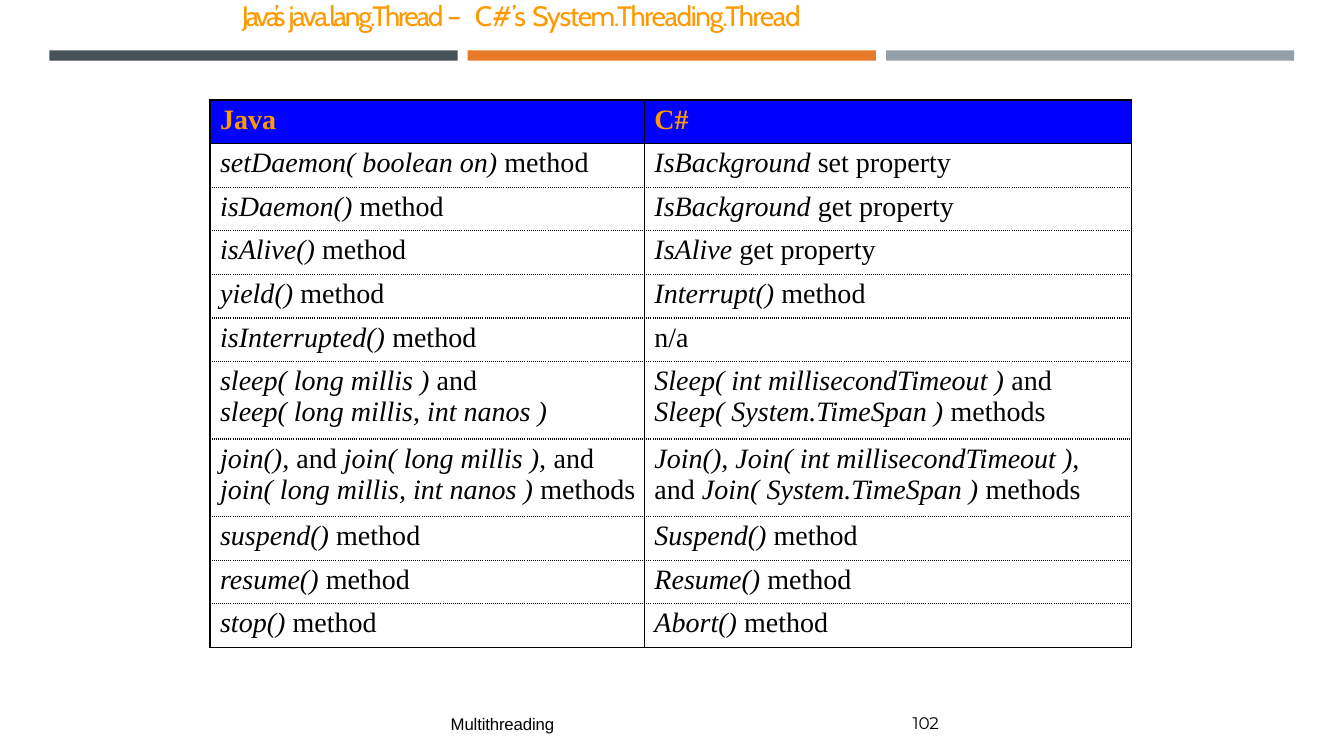
from dataclasses import dataclass
from lxml import etree
from pptx import Presentation
from pptx.dml.color import RGBColor
from pptx.enum.shapes import MSO_SHAPE
from pptx.oxml.ns import qn
from pptx.util import Pt

RECT = MSO_SHAPE.RECTANGLE


@dataclass(frozen=True)
class Theme:
    gold: str = "FF9900"
    blue: str = "0000FF"
    ink: str = "000000"
    bands: tuple = ("465257", "E77929", "949FA7")
    head: int = 20
    body: int = 20
    foot: int = 12
    title: str = "Cabin"
    serif: str = "Times New Roman"
    sans: str = "Arial"
    page: str = "Montserrat"


THEME = Theme()

TITLE = [
    ("Java’s ", -2.2),
    ("java.lang.Thread ", -1.6),
    ("– ", 2.5),
    ("C#’s ", 0),
    ("System.Threading.Thread", -1),
]

ROWS = [
    ("Java", "C#"),
    ("*setDaemon( boolean on) *method", "*IsBackground *set property"),
    ("*isDaemon() *method", "*IsBackground *get property"),
    ("*isAlive() *method", "*IsAlive *get property"),
    ("*yield() *method", "*Interrupt() *method"),
    ("*isInterrupted() *method", "n/a"),
    ("*sleep( long millis ) *and\n*sleep( long millis, int nanos )*",
     "*Sleep( int millisecondTimeout ) *and\n*Sleep( System.TimeSpan ) *methods"),
    ("*join(), *and *join( long millis ), *and\n*join( long millis, int nanos ) *methods",
     "*Join(), Join( int millisecondTimeout ),*\nand *Join( System.TimeSpan ) *methods"),
    ("*suspend() *method", "*Suspend() *method"),
    ("*resume() *method", "*Resume() *method"),
    ("*stop() *method", "*Abort() *method"),
]


def write(para, text, size=THEME.body, face=THEME.serif, color=THEME.ink,
          bold=False, space=0):
    for i, part in enumerate(text.split("*")):
        if not part:
            continue
        run = para.add_run()
        run.text = part
        font = run.font
        font.size, font.name = Pt(size), face
        font.bold, font.italic = bold, i % 2 == 1
        font.color.rgb = RGBColor.from_string(color)
        if space:
            run._r.get_or_add_rPr().set("spc", str(round(space * 100)))


def add_band(slide, left, color):
    band = slide.shapes.add_shape(RECT, Pt(left), Pt(36), Pt(291.6), Pt(7.4))
    band.shadow.inherit = False
    band.fill.solid()
    band.fill.fore_color.rgb = RGBColor.from_string(color)
    band.line.fill.background()


def add_box(slide, left, top, width, height, inset=0, before=0):
    frame = slide.shapes.add_textbox(
        Pt(left), Pt(top), Pt(width), Pt(height)).text_frame
    frame.word_wrap = True
    frame.margin_left = frame.margin_right = frame.margin_bottom = 0
    frame.margin_top = Pt(inset)
    para = frame.paragraphs[0]
    para.space_before = Pt(before)
    return para


def add_edge(cell, side, dash):
    props = cell._tc.get_or_add_tcPr()
    line = etree.SubElement(props, qn(f"a:ln{side}"), w=str(Pt(1)))
    fill = etree.SubElement(line, qn("a:solidFill"))
    etree.SubElement(fill, qn("a:srgbClr"), val=THEME.ink)
    etree.SubElement(line, qn("a:prstDash"), val=dash)


def fill_cell(cell, text, row):
    cell.margin_left, cell.margin_top = Pt(7.2), Pt(2.9)
    cell.margin_right = cell.margin_bottom = 0
    top = "sysDot" if row > 1 else "solid"
    base = "sysDot" if 0 < row < len(ROWS) - 1 else "solid"
    for side, dash in zip("LRTB", ("solid", "solid", top, base)):
        add_edge(cell, side, dash)
    if row == 0:
        cell.fill.solid()
        cell.fill.fore_color.rgb = RGBColor.from_string(THEME.blue)
    else:
        cell.fill.background()
    frame = cell.text_frame
    for i, line in enumerate(text.split("\n")):
        para = frame.add_paragraph() if i else frame.paragraphs[0]
        para.space_before = Pt(0 if i else 3)
        write(para, line, bold=row == 0,
              color=THEME.ink if row else THEME.gold)


def add_grid(slide):
    table = slide.shapes.add_table(
        len(ROWS), 2, Pt(150), Pt(71.5), Pt(658.1), Pt(391)).table
    table.first_row = table.horz_banding = False
    for col, width in zip(table.columns, (310.3, 347.8)):
        col.width = Pt(width)
    for r, texts in enumerate(ROWS):
        table.rows[r].height = Pt(55.4 if "\n" in texts[0] else 31.15)
        for c, text in enumerate(texts):
            fill_cell(table.cell(r, c), text, r)


def main():
    deck = Presentation()
    deck.slide_width, deck.slide_height = Pt(960), Pt(540)
    slide = deck.slides.add_slide(deck.slide_layouts[6])
    for i, color in enumerate(THEME.bands):
        add_band(slide, 35.3 + 298.8 * i, color)
    title = add_box(slide, 172.8, -2.2, 547.2, 41.8, inset=0.9, before=1)
    for text, space in TITLE:
        write(title, text, size=THEME.head, face=THEME.title,
              color=THEME.gold, space=space)
    page = add_box(slide, 652, 506.9, 28.8, 18.7, inset=2, before=2.2)
    write(page, "102", size=THEME.foot, face=THEME.page, space=-0.2)
    foot = add_box(slide, 322, 509.8, 77, 15.1)
    foot.line_spacing = Pt(14.2)
    write(foot, "Multithreading", size=THEME.foot, face=THEME.sans, space=-0.1)
    add_grid(slide)
    deck.save("out.pptx")


if __name__ == "__main__":
    main()
